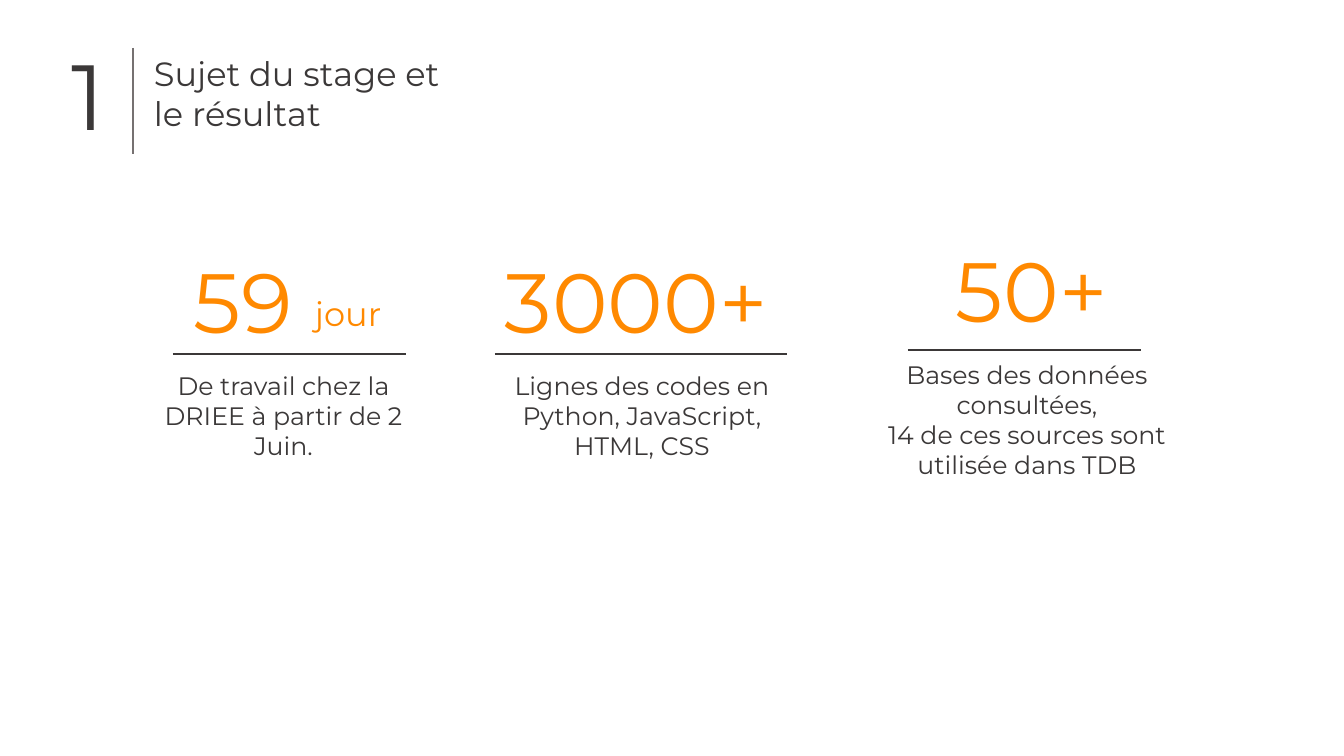
from lxml.etree import SubElement
from pptx import Presentation
from pptx.dml.color import RGBColor
from pptx.enum.shapes import MSO_CONNECTOR
from pptx.enum.text import PP_ALIGN
from pptx.oxml.ns import qn
from pptx.util import Emu, Pt

PX_PER_INCH = 100.8
FONT = "Montserrat"
DARK = "3B3838"
GREY = "767171"
ORANGE = "FF8900"

STATS = [
    {
        "number": ("59", 184, 245, 142),
        "rule": (173, 406, 354),
        "caption": (["De travail chez la DRIEE à partir de 2 Juin."], 152, 365, 263, 102),
    },
    {
        "number": ("3000+", 495, 245, 320),
        "rule": (495, 787, 354),
        "caption": (["Lignes des codes en Python, JavaScript, HTML, CSS"], 495, 365, 294, 102),
    },
    {
        "number": ("50+", 946, 234, 197),
        "rule": (908, 1141, 350),
        "caption": (
            ["Bases des données consultées,", "14 de ces sources sont utilisée dans TDB"],
            868, 354, 318, 132,
        ),
    },
]


def px(n):
    return Emu(round(n * 914400 / PX_PER_INCH))


def color(value):
    return RGBColor.from_string(value)


def add_text(s, lines, x, y, w, h, *, size, fill=DARK, align=PP_ALIGN.LEFT):
    tf = s.shapes.add_textbox(px(x), px(y), px(w), px(h)).text_frame
    tf.word_wrap = True
    for i, line in enumerate(lines):
        p = tf.add_paragraph() if i else tf.paragraphs[0]
        p.alignment = align
        r = p.add_run()
        r.text = line
        r.font.name = FONT
        r.font.size = Pt(size)
        r.font.color.rgb = color(fill)


def add_line(s, x1, y1, x2, y2, stroke=DARK):
    line = s.shapes.add_connector(MSO_CONNECTOR.STRAIGHT, px(x1), px(y1), px(x2), px(y2))
    line.line.color.rgb = color(stroke)
    line.line.width = Pt(1.5)
    SubElement(line._element.spPr, qn("a:effectLst"))


def add_heading(s):
    add_text(s, ["1"], 62, 33, 42, 122, size=66)
    add_line(s, 133, 48, 133, 154, stroke=GREY)
    add_text(s, ["Sujet du stage et le résultat"], 144, 48, 320, 92, size=24)


def add_stat(s, number, rule, caption):
    value, x, y, w = number
    add_text(s, [value], x, y, w, 112, size=60, fill=ORANGE)
    left, right, level = rule
    add_line(s, left, level, right, level)
    add_text(s, *caption, size=18, align=PP_ALIGN.CENTER)


def main():
    prs = Presentation()
    prs.slide_width = px(1344)
    prs.slide_height = px(756)
    s = prs.slides.add_slide(prs.slide_layouts[6])
    add_heading(s)
    for stat in STATS:
        add_stat(s, **stat)
    add_text(s, ["jour"], 305, 288, 127, 50, size=24, fill=ORANGE)
    prs.save("out.pptx")


if __name__ == "__main__":
    main()
